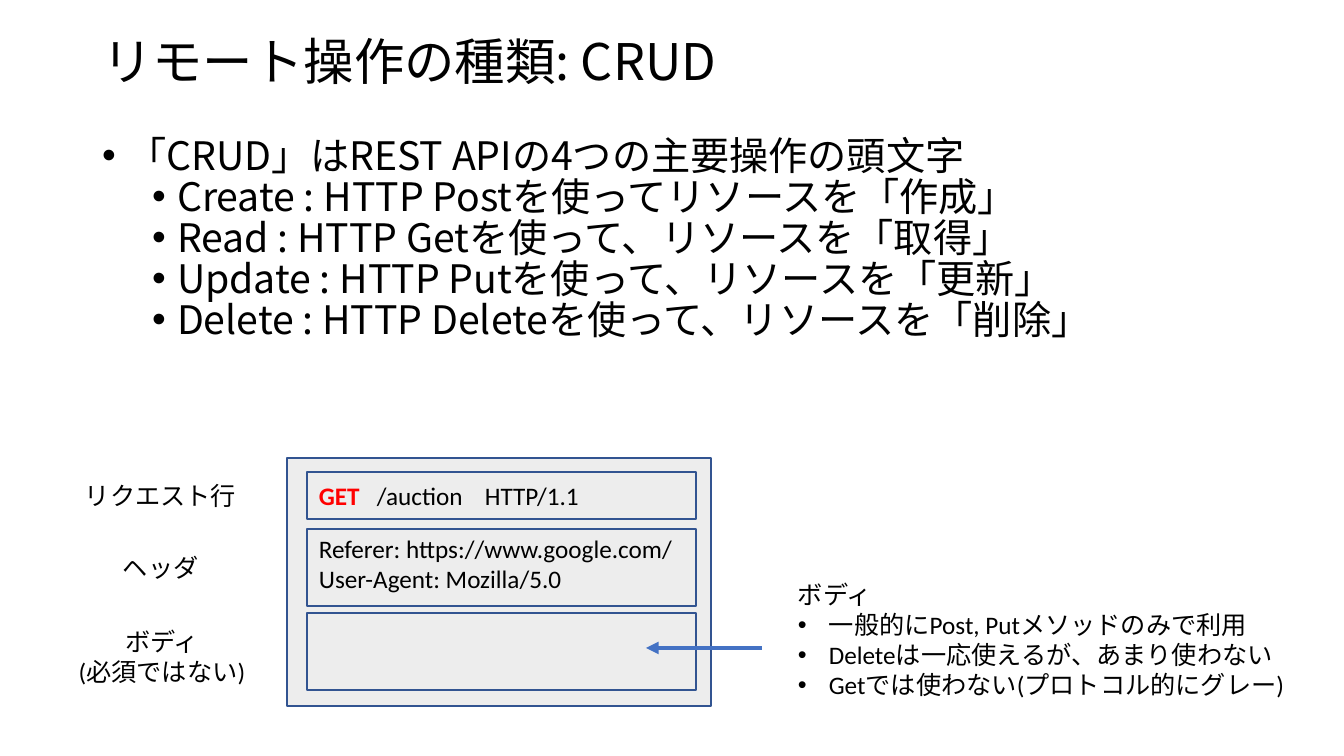
from lxml import etree
from pptx import Presentation
from pptx.dml.color import RGBColor
from pptx.enum.shapes import MSO_CONNECTOR, MSO_SHAPE
from pptx.enum.text import MSO_ANCHOR, MSO_AUTO_SIZE, PP_ALIGN
from pptx.oxml.ns import qn
from pptx.util import Pt

RECTANGLE = MSO_SHAPE.RECTANGLE
STRAIGHT = MSO_CONNECTOR.STRAIGHT
TOP, MIDDLE = MSO_ANCHOR.TOP, MSO_ANCHOR.MIDDLE
LEFT, CENTER = PP_ALIGN.LEFT, PP_ALIGN.CENTER
FIXED = MSO_AUTO_SIZE.NONE
HEADING_FONT, DETAIL_FONT = "Noto Sans CJK JP", "Calibri"

TITLE = "リモート操作の種類: CRUD"
OPERATIONS = [
    "「CRUD」はREST APIの4つの主要操作の頭文字",
    "Create : HTTP Postを使ってリソースを「作成」",
    "Read : HTTP Getを使って、リソースを「取得」",
    "Update : HTTP Putを使って、リソースを「更新」",
    "Delete : HTTP Deleteを使って、リソースを「削除」",
]
HEADERS = ["Referer: https://www.google.com/", "User-Agent: Mozilla/5.0"]
BODY_NOTES = [
    "ボディ",
    "一般的にPost, Putメソッドのみで利用",
    "Deleteは一応使えるが、あまり使わない",
    "Getでは使わない(プロトコル的にグレー)",
]


def px(length):
    """Turn pixels into EMU."""
    return round(length * 914400 / 100.8)


def color(value):
    """Turn a hex string into a colour."""
    return RGBColor.from_string(value)


def place(shape, left, top, width, height):
    """Move and size a shape in pixels."""
    shape.left, shape.top = px(left), px(top)
    shape.width, shape.height = px(width), px(height)


def format_run(run, size, font, fill="000000", bold=False):
    """Set size, Latin and East Asian font, colour and weight of a run."""
    run.font.size, run.font.name, run.font.bold = Pt(size), font, bold
    run.font.color.rgb = color(fill)
    east_asian = etree.Element(qn("a:ea"), typeface=font)
    run.font._element.find(qn("a:latin")).addnext(east_asian)


def add_bullet(paragraph, margin, hanging):
    """Give a paragraph a round bullet with a hanging indent."""
    properties = paragraph._p.get_or_add_pPr()
    properties.set("marL", str(px(margin)))
    properties.set("indent", str(-px(hanging)))
    etree.SubElement(properties, qn("a:buFont"), typeface="Arial")
    etree.SubElement(properties, qn("a:buChar"), char="•")


def write_lines(frame, lines, size, font, alignment=LEFT):
    """Fill a text frame with one paragraph per line."""
    frame.text = "\n".join(lines)
    frame.auto_size = FIXED
    for paragraph in frame.paragraphs:
        paragraph.alignment = alignment
        for run in paragraph.runs:
            format_run(run, size, font)


def add_text(slide, box, lines, alignment=LEFT, wrap=True):
    """Add a detail text box and return its frame."""
    frame = slide.shapes.add_textbox(*map(px, box)).text_frame
    write_lines(frame, lines, 18, DETAIL_FONT, alignment)
    frame.word_wrap = wrap
    return frame


def add_box(slide, left, top, width, height):
    """Add a grey outlined rectangle."""
    shape = slide.shapes.add_shape(RECTANGLE, px(left), px(top), px(width), px(height))
    shape.shadow.inherit = False
    shape.fill.solid()
    shape.fill.fore_color.rgb = color("EDEDED")
    shape.line.color.rgb = color("325491")
    shape.line.width = Pt(1)


def build_title(slide, box):
    """Write the slide title."""
    title = slide.shapes.title
    place(title, *box)
    write_lines(title.text_frame, [TITLE], 36, HEADING_FONT)
    title.text_frame.vertical_anchor = MIDDLE
    title.text_frame.paragraphs[0].line_spacing = 0.9


def build_operations(slide, box):
    """Write the bulleted list of operations."""
    body = slide.placeholders[1]
    place(body, *box)
    frame = body.text_frame
    write_lines(frame, OPERATIONS, 28, HEADING_FONT)
    frame.vertical_anchor = TOP
    for index, paragraph in enumerate(frame.paragraphs):
        paragraph.level = min(index, 1)
        add_bullet(paragraph, 25 + 50 * paragraph.level, 25)
        paragraph.line_spacing = 0.87
        paragraph.space_before = Pt(0)


def build_request_line(slide, box):
    """Write the method, the resource and the version at tab stops."""
    frame = add_text(slide, box, ["GET"])
    paragraph = frame.paragraphs[0]
    tabs = etree.SubElement(paragraph._p.get_or_add_pPr(), qn("a:tabLst"))
    for position in (58, 166):
        etree.SubElement(tabs, qn("a:tab"), pos=str(px(position)), algn="l")
    method = paragraph.runs[0]
    method.font.bold = True
    method.font.color.rgb = color("FF0000")
    target = paragraph.add_run()
    target.text = "\t/auction\tHTTP/1.1"
    format_run(target, 18, DETAIL_FONT)


def build_request(slide, left, top, width, height):
    """Draw the request panel with its three parts."""
    add_box(slide, left, top, width, height)
    for offset, part_height in ((14, 47), (71, 77), (155, 77)):
        add_box(slide, left + 20, top + offset, width - 35, part_height)
    build_request_line(slide, (left + 22, top + 17, 284, 40))
    add_text(slide, (left + 22, top + 70, 387, 72), HEADERS)


def build_labels(slide, left, top):
    """Name the three parts of the request."""
    add_text(slide, (left + 7, top, 173, 40), ["リクエスト行"], wrap=False)
    add_text(slide, (left + 45, top + 72, 97, 40), ["ヘッダ"], wrap=False)
    add_text(slide, (left, top + 146, 188, 72), ["ボディ", "(必須ではない)"], CENTER)


def build_body_note(slide, left, top, width, height):
    """Explain the body part and point an arrow at it."""
    arrow = slide.shapes.add_connector(
        STRAIGHT, px(left - 26), px(top + 74), px(left - 142), px(top + 74))
    arrow.line.color.rgb = color("4472C4")
    arrow.line.width = Pt(3)
    etree.SubElement(arrow.line._get_or_add_ln(), qn("a:tailEnd"), type="triangle")
    etree.SubElement(arrow._element.spPr, qn("a:effectLst"))
    frame = add_text(slide, (left, top, width, height), BODY_NOTES)
    for paragraph in frame.paragraphs[1:]:
        add_bullet(paragraph, 31, 31)


def main():
    """Build and save the slide."""
    presentation = Presentation()
    presentation.slide_width, presentation.slide_height = px(1344), px(756)
    slide = presentation.slides.add_slide(presentation.slide_layouts[1])
    build_title(slide, (92, 19, 1159, 90))
    build_operations(slide, (92, 133, 1159, 604))
    build_request(slide, 287, 458, 424, 248)
    build_labels(slide, 68, 475)
    build_body_note(slide, 788, 574, 536, 132)
    presentation.save("out.pptx")


if __name__ == "__main__":
    main()
